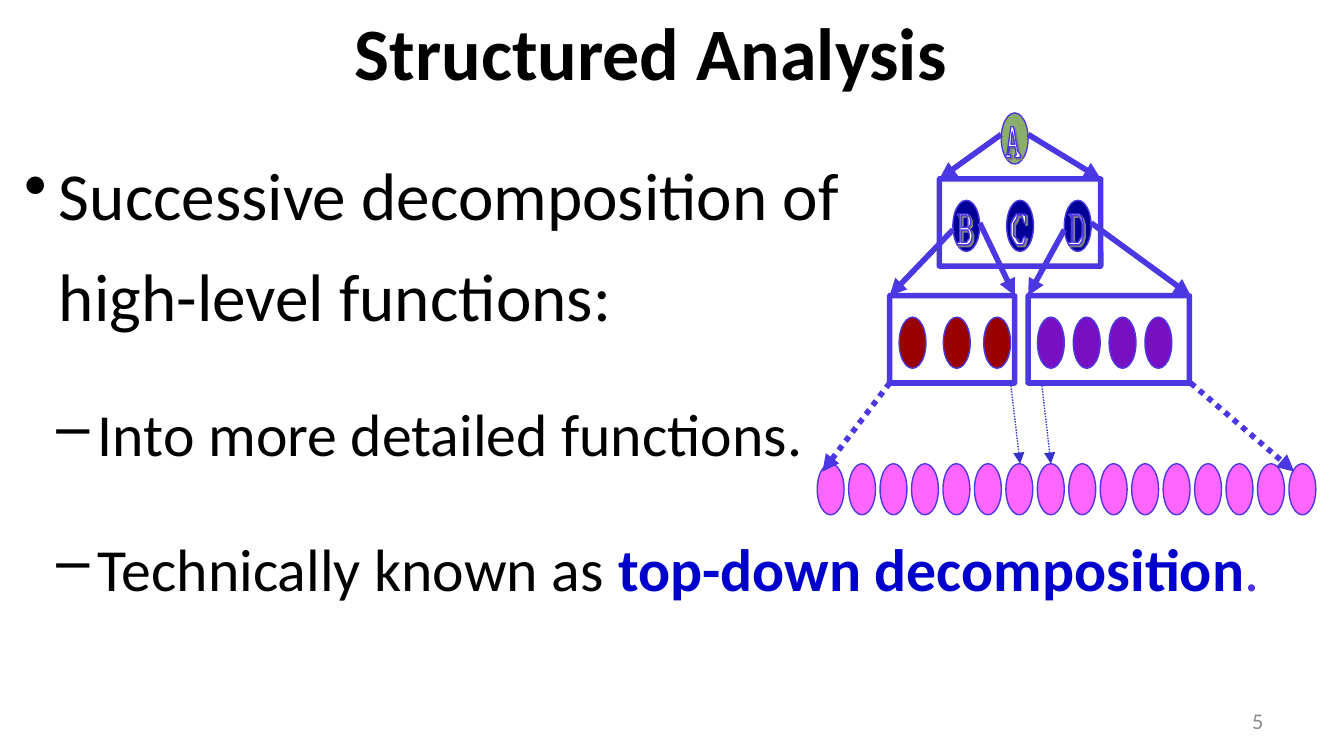
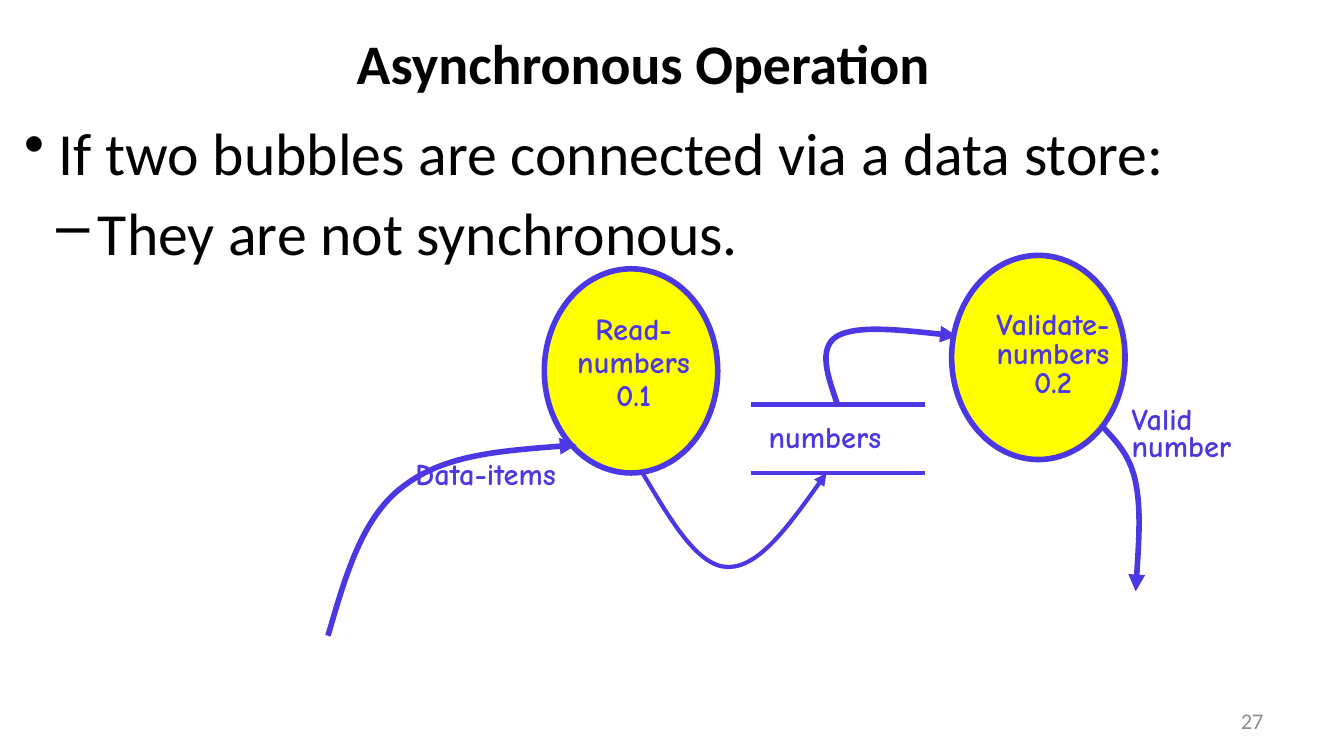
from dataclasses import dataclass
from typing import NamedTuple

from lxml import etree
from pptx import Presentation
from pptx.dml.color import RGBColor
from pptx.enum import dml, shapes, text
from pptx.oxml.ns import qn
from pptx.util import Pt


@dataclass(frozen=True)
class Theme:
    font: str = "Calibri"
    hand: str = "Comic Neue"
    ink: str = "000000"
    line: str = "4C38E2"
    thin: str = "3333CC"
    term: str = "0000CC"
    grey: str = "8C8C8C"
    shade: str = "808080"
    white: str = "FFFFFF"
    green: str = "8BAE6C"
    navy: str = "000099"
    red: str = "990000"
    purple: str = "7610C2"
    pink: str = "FF66FF"
    yellow: str = "FFFF00"
    big: float = 36
    body: float = 32
    label: float = 16.3
    foot: float = 12


THEME = Theme()
LEFT, MID, RIGHT = text.PP_ALIGN.LEFT, text.PP_ALIGN.CENTER, text.PP_ALIGN.RIGHT


class Point(NamedTuple):
    x: float
    y: float


class Box(NamedTuple):
    x: float
    y: float
    w: float
    h: float


class Span(NamedTuple):
    text: str
    color: str
    bold: bool


class Para(NamedTuple):
    text: str
    size: float
    level: int | None = None
    extra: tuple[Span, ...] = ()
    color: str = THEME.ink
    font: str = THEME.font
    bold: bool = False
    align: text.PP_ALIGN = LEFT
    pitch: float = 1
    before: float = 0
    after: float = 0


class Row(NamedTuple):
    y: float
    color: str
    lefts: list[float]


class Arrow(NamedTuple):
    start: Point
    end: Point
    color: str = THEME.line
    width: float = 3
    dash: bool = False
    head: bool = True


class Curve(NamedTuple):
    points: list[tuple[float, float]]
    width: float = 3


class Label(NamedTuple):
    text: str
    box: Box
    align: text.PP_ALIGN = LEFT
    pitch: float = 0.72
    before: float = 8.5


def rgb(color: str) -> RGBColor:
    return RGBColor.from_string(color)


def add(parent, tag: str, **attrs):
    return etree.SubElement(parent, qn(tag), attrs)


def bullet(para, level: int) -> None:
    para.level = level
    props = para._p.get_or_add_pPr()
    left, hang = ((18.72, 18.72), (39.6, 22.32))[level]
    props.set("marL", str(Pt(left)))
    props.set("indent", str(-Pt(hang)))
    add(props, "a:buChar", char="•–"[level])


def write(slide, box: Box, paras: list[Para], middle: bool = False,
          inset: tuple[float, float] = (0.72, 2.88)) -> None:
    frame = slide.shapes.add_textbox(*map(Pt, box)).text_frame
    frame.word_wrap = True
    frame.margin_left = frame.margin_right = Pt(inset[0])
    frame.margin_top = frame.margin_bottom = Pt(inset[1])
    if middle:
        frame.vertical_anchor = text.MSO_ANCHOR.MIDDLE
    for i, item in enumerate(paras):
        para = frame.add_paragraph() if i else frame.paragraphs[0]
        para.text = item.text
        para.alignment = item.align
        if item.level is not None:
            bullet(para, item.level)
        para.line_spacing = item.pitch
        para.space_before, para.space_after = Pt(item.before), Pt(item.after)
        font = para.font
        font.name, font.size, font.bold = item.font, Pt(item.size), item.bold
        font.color.rgb = rgb(item.color)
        for span in item.extra:
            run = para.add_run()
            run.text = span.text
            run.font.bold = span.bold
            run.font.color.rgb = rgb(span.color)


def paint(shape, fill: str | None, width: float) -> None:
    shape.shadow.inherit = False
    if fill:
        shape.fill.solid()
        shape.fill.fore_color.rgb = rgb(fill)
    else:
        shape.fill.background()
    shape.line.color.rgb = rgb(THEME.line)
    shape.line.width = Pt(width)


def oval(slide, box: Box, fill: str, width: float = 0.75) -> None:
    paint(slide.shapes.add_shape(shapes.MSO_SHAPE.OVAL, *map(Pt, box)), fill, width)


def frame(slide, box: Box) -> None:
    shape = slide.shapes.add_shape(shapes.MSO_SHAPE.ROUNDED_RECTANGLE, *map(Pt, box))
    shape.adjustments[0] = 0.002
    paint(shape, None, 3)


def tip(shape) -> None:
    add(shape.element.spPr.find(qn("a:ln")), "a:tailEnd", type="triangle")


def arrow(slide, item: Arrow) -> None:
    line = slide.shapes.add_connector(
        shapes.MSO_CONNECTOR.STRAIGHT, *map(Pt, (*item.start, *item.end)))
    line.line.color.rgb = rgb(item.color)
    line.line.width = Pt(item.width)
    if item.dash:
        line.line.dash_style = dml.MSO_LINE.ROUND_DOT
    if item.head:
        tip(line)
    add(line.element.spPr, "a:effectLst")


def outline(slide, rings: list[list[tuple[float, float]]], close: bool):
    rings = [[(Pt(x), Pt(y)) for x, y in ring] for ring in rings]
    build = slide.shapes.build_freeform(*rings[0][0])
    for i, ring in enumerate(rings):
        if i:
            build.move_to(*ring[0])
        build.add_line_segments(ring[1:], close=close)
    return build.convert_to_shape()


def curve(slide, item: Curve) -> None:
    """Draw a start point followed by Bézier triples, with an arrowhead."""
    shape = outline(slide, [item.points], False)
    trail = next(shape.element.iter(qn("a:path")))
    steps = trail.findall(qn("a:lnTo"))
    for i in range(0, len(steps), 3):
        bend = add(trail, "a:cubicBezTo")
        for step in steps[i:i + 3]:
            bend.append(step[0])
            trail.remove(step)
    paint(shape, None, item.width)
    tip(shape)


def glyph(slide, at: Point, rings: list[list[tuple[int, int]]]) -> None:
    """Draw a letter outline given in hundredths of an inch, with its shadow."""
    unit = 0.72
    shape = outline(slide, [[(at.x + x * unit, at.y + y * unit) for x, y in ring]
                            for ring in rings], True)
    paint(shape, THEME.white, 0.75)
    glow = add(shape.element.spPr.find(qn("a:effectLst")), "a:outerShdw",
               dist=str(Pt(1.4)), dir="2700000", algn="ctr", rotWithShape="0")
    add(glow, "a:srgbClr", val=THEME.shade)


def base(deck, title: str, box: Box, size: float, before: float, number: int):
    slide = deck.slides.add_slide(deck.slide_layouts[6])
    write(slide, box, [Para(title, size, bold=True, align=MID, before=before)], True)
    write(slide, Box(516.2, 375.1, 167.8, 21.6),
          [Para(str(number), THEME.foot, color=THEME.grey, align=RIGHT)],
          True, (7.2, 3.6))
    return slide


DOT = (14.4, 27.4)
TOP = Point(536.4, 60.5)
BLUES = Row(107.3, THEME.navy, [510.5, 539.3, 570.2])
ROWS = [
    Row(TOP.y, THEME.green, [TOP.x]),
    BLUES,
    Row(169.9, THEME.red, [481.7, 505.4, 527]),
    Row(169.9, THEME.purple, [555.8 + 19.2 * i for i in range(4)]),
    Row(248.4, THEME.pink, [437.8 + 16.85 * i for i in range(16)]),
]
FRAMES = [Box(503.3, 95.8, 86.4, 46.8), Box(476.6, 158.4, 67, 46.8),
          Box(550.8, 158.4, 86.4, 46.8)]
TREE = [
    Arrow(Point(536.4, 72), Point(503.3, 95.8)),
    Arrow(Point(550.8, 72), Point(589.7, 95.8)),
    Arrow(Point(510.5, 123.1), Point(476.6, 158.4)),
    Arrow(Point(524.9, 119.5), Point(543.6, 158.4)),
    Arrow(Point(570.2, 123.1), Point(550.8, 158.4)),
    Arrow(Point(584.6, 119.5), Point(637.9, 158.4)),
    Arrow(Point(476.6, 205.2), Point(440.6, 252.7), dash=True),
    Arrow(Point(637.9, 205.2), Point(693.4, 252.7), dash=True),
    Arrow(Point(541.4, 205.2), Point(546.5, 248.4), THEME.thin, 0.75, True),
    Arrow(Point(558, 205.2), Point(563, 248.4), THEME.thin, 0.75, True),
]
GLYPHS = {
    "A": [[(4, 0), (6, 0), (9, 18), (11, 21), (11, 23), (7, 23), (7, 21), (8, 21),
           (7, 15), (3, 15), (2, 21), (4, 21), (4, 23), (0, 23), (0, 21), (1, 21)],
          [(5, 4), (7, 13), (4, 13)]],
    "B": [[(0, 0), (8, 0), (10, 4), (10, 8), (8, 10), (10, 12), (11, 15), (11, 18),
           (10, 21), (8, 23), (0, 23), (0, 21), (2, 21), (2, 1), (0, 1)],
          [(3, 1), (7, 1), (8, 4), (8, 8), (7, 10), (3, 10)],
          [(3, 12), (8, 12), (9, 15), (9, 18), (7, 21), (3, 21)]],
    "C": [[(4, 0), (9, 0), (10, 1), (10, 0), (11, 0), (11, 7), (10, 7), (9, 4),
           (8, 1), (5, 1), (4, 4), (2, 7), (2, 16), (4, 18), (5, 20), (6, 21),
           (8, 21), (9, 18), (10, 17), (11, 17), (10, 21), (9, 23), (4, 23),
           (2, 20), (0, 16), (0, 7), (2, 3)]],
    "D": [[(0, 0), (8, 0), (10, 3), (11, 7), (11, 16), (10, 20), (8, 23), (0, 23),
           (0, 21), (2, 21), (2, 1), (0, 1)],
          [(3, 1), (7, 1), (9, 4), (10, 7), (10, 16), (9, 18), (7, 21), (3, 21)]],
}
BUBBLES = [Box(291.6, 144, 92.9, 109.4), Box(509.8, 136.8, 92.9, 109.4)]
FLOWS = [
    Curve([(175.7, 340.6), (185, 308.9), (193.7, 277.2), (216, 260.6),
           (238.3, 243.4), (273.6, 241.2), (308.9, 238.3)]),
    Curve([(591.1, 229), (598.3, 236.9), (605.5, 244.1), (608.4, 258.5),
           (611.3, 272.9), (609.8, 294.5), (608.4, 316.8)]),
    Curve([(448.6, 216.7), (443.5, 201.6), (437.8, 186.5), (448.6, 180),
           (459.4, 174.2), (486, 177.1), (512.6, 180)]),
    Curve([(344.2, 253.4), (359.3, 278.6), (373.7, 303.8), (390.2, 303.8),
           (406.8, 303.8), (424.8, 278.6), (442.8, 253.4)], 2.25),
]
LABELS = [
    Label("Data-items", Box(221.8, 246.2, 92.9, 67)),
    Label("Read-numbers\n0.1", Box(293, 165.6, 92.9, 96.5), MID, 0.9, 8.8),
    Label("Validate-numbers\n0.2", Box(517.7, 164.2, 92.9, 121.7), MID, 0.8, 8.8),
    Label("Valid number", Box(605.5, 216.7, 88, 67)),
    Label("numbers", Box(411.1, 226.1, 115.2, 28.1)),
]


def tree(deck) -> None:
    slide = base(deck, "Structured Analysis", Box(119.5, 11.5, 458.6, 31.7), 39.6, 9.3, 5)
    gaps = dict(pitch=1.25, before=12, after=12)
    write(slide, Box(12.2, 68.4, 676.1, 252), [
        Para("Successive decomposition of\nhigh-level functions:", THEME.big, 0, **gaps),
        Para("Into more detailed functions.", THEME.body, 1, **gaps),
        Para("Technically known as ", THEME.body, 1,
             (Span("top-down decomposition", THEME.term, True),
              Span(".", THEME.line, False)), **gaps),
    ])
    for row in ROWS:
        for left in row.lefts:
            oval(slide, Box(left, row.y, *DOT), row.color)
    for box in FRAMES:
        frame(slide, box)
    for item in TREE:
        arrow(slide, item)
    spots = [TOP] + [Point(left, BLUES.y) for left in BLUES.lefts]
    for spot, rings in zip(spots, GLYPHS.values()):
        glyph(slide, Point(spot.x + 2.3, spot.y + 7.4), rings)


def flow(deck) -> None:
    slide = base(deck, "Asynchronous Operation", Box(115.2, 0, 458.6, 67), 29.9, 3.6, 27)
    write(slide, Box(12.2, 59, 684, 269.3), [
        Para("If two bubbles are connected via a data store:", THEME.body, 0, before=6.7),
        Para("They are not synchronous.", THEME.body, 1, before=4.8),
    ])
    for box in BUBBLES:
        oval(slide, box, THEME.yellow, 3)
    for item in FLOWS:
        curve(slide, item)
    for y in (216.7, 253.4):
        arrow(slide, Arrow(Point(402.5, y), Point(495.4, y), width=2.25, head=False))
    for item in LABELS:
        write(slide, item.box, [Para(
            item.text, THEME.label, color=THEME.line, font=THEME.hand, bold=True,
            align=item.align, pitch=item.pitch, before=item.before)])


def main() -> None:
    deck = Presentation()
    deck.slide_width, deck.slide_height = Pt(720), Pt(405)
    tree(deck)
    flow(deck)
    deck.save("out.pptx")


if __name__ == "__main__":
    main()
